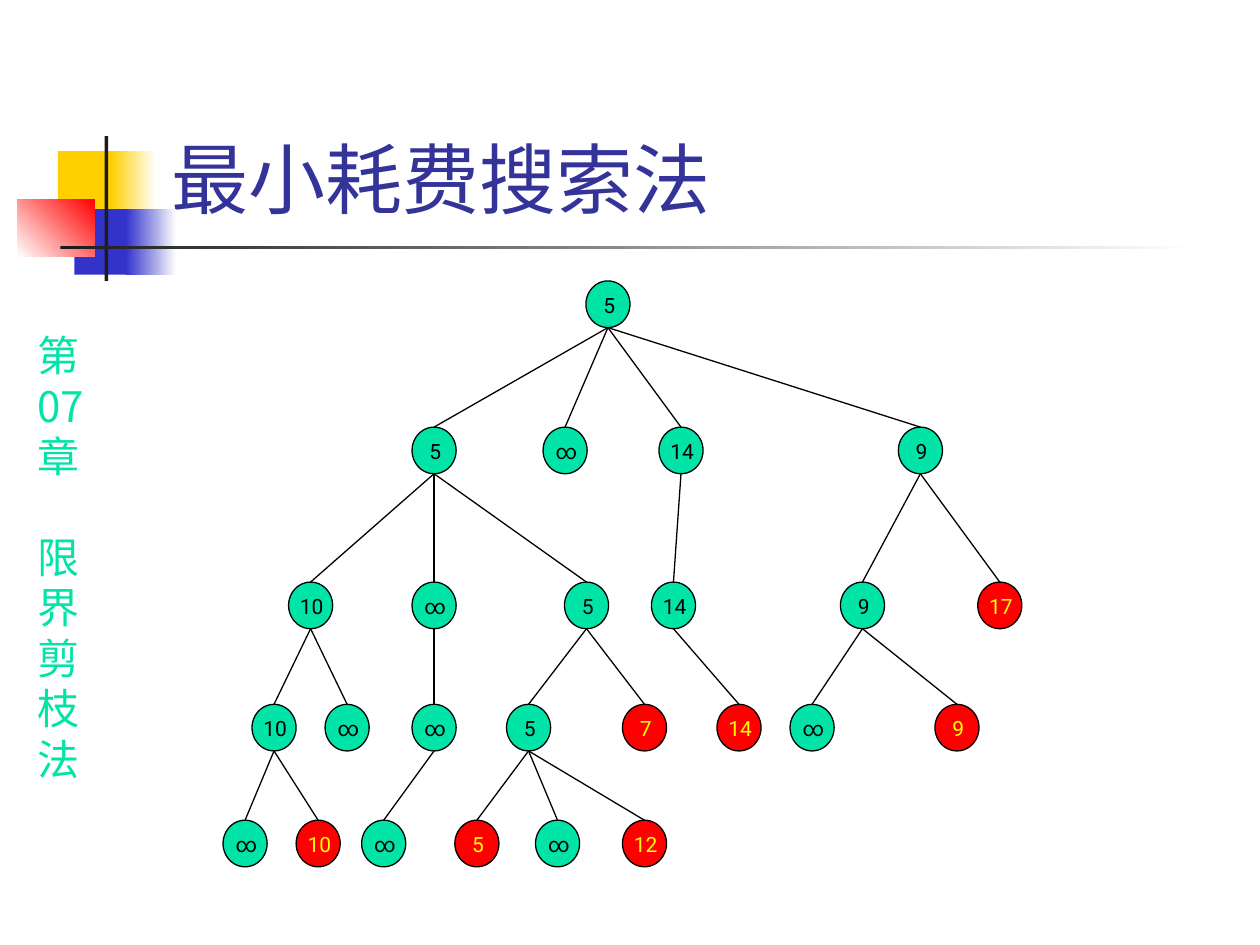
"""Build the least-cost search tree slide."""
from lxml import etree
from pptx import Presentation
from pptx.dml.color import RGBColor
from pptx.enum import shapes, text
from pptx.oxml import ns
from pptx.util import Inches, Pt

GREEN, RED, YELLOW, BLACK = "00E4A8", "FF0000", "FFFF00", "000000"
GOLD, BLUE, CHARCOAL, WHITE = "FFCF01", "3333CC", "1C1C1C", "FFFFFF"
NODE_W, NODE_H = 0.35, 0.37
LABEL_W, LABEL_H = 0.46, 0.3

# Each level: top, then (left, label, parent's place in the level above, is a solution)
LEVELS = [
    (2.23, [(4.65, "5", None, False)]),
    (3.39, [(3.27, "5", 0, False), (4.31, "∞", 0, False),
            (5.23, "14", 0, False), (7.13, "9", 0, False)]),
    (4.62, [(2.29, "10", 0, False), (3.27, "∞", 0, False), (4.48, "5", 0, False),
            (5.17, "14", 2, False), (6.67, "9", 3, False), (7.76, "17", 3, True)]),
    (5.59, [(2, "10", 0, False), (2.58, "∞", 0, False), (3.27, "∞", 1, False),
            (4.02, "5", 2, False), (4.94, "7", 2, True), (5.69, "14", 3, True),
            (6.27, "∞", 4, False), (7.42, "9", 4, True)]),
    (6.51, [(1.77, "∞", 0, False), (2.35, "10", 0, True), (2.87, "∞", 2, False),
            (3.61, "5", 3, True), (4.25, "∞", 3, False), (4.94, "12", 3, True)]),
]


def colour(value):
    """Return the colour for a hex string."""
    return RGBColor.from_string(value)


def style_text(paragraph, size, font_name, value, align):
    """Format a paragraph and its runs, East Asian letters included."""
    paragraph.alignment = align
    for run in paragraph.runs:
        run.font.size = Pt(size)
        run.font.name = font_name
        run.font.color.rgb = colour(value)
        east_asian = etree.SubElement(run.font._element, ns.qn("a:ea"))
        east_asian.set("typeface", font_name)


def add_band(slide, box, start, end=None, angle=0):
    """Add a borderless rectangle, plain or fading from start to end."""
    band = slide.shapes.add_shape(shapes.MSO_SHAPE.RECTANGLE, *map(Inches, box))
    band.shadow.inherit = False
    band.line.fill.background()
    if end is None:
        band.fill.solid()
        band.fill.fore_color.rgb = colour(start)
        return
    band.fill.gradient()
    band.fill.gradient_angle = angle
    for stop, value in zip(band.fill.gradient_stops, (start, end)):
        stop.color.rgb = colour(value)


def add_ornament(slide):
    """Add the coloured squares and the crossing rules beside the title."""
    add_band(slide, (0.46, 1.2, 0.48, 0.52), GOLD)
    add_band(slide, (0.88, 1.2, 0.36, 0.52), GOLD, WHITE)
    add_band(slide, (0.59, 1.66, 0.46, 0.52), BLUE)
    add_band(slide, (1, 1.66, 0.4, 0.52), BLUE, WHITE)
    add_band(slide, (0.14, 1.58, 0.61, 0.46), WHITE, RED, 45)
    add_band(slide, (0.83, 1.08, 0.03, 1.15), CHARCOAL)
    add_band(slide, (0.48, 1.95, 9, 0.03), CHARCOAL, WHITE)


def add_chapter(slide):
    """Add the chapter name, running down the left edge."""
    box = slide.shapes.add_textbox(*map(Inches, (0.2, 2.57, 0.58, 3.7)))
    frame = box.text_frame
    frame.word_wrap = False
    frame.text = "\n".join(["第", "07", *"章限界剪枝法"])
    for paragraph in frame.paragraphs:
        paragraph.line_spacing = Pt(28.8)
        if paragraph.text == "限":
            paragraph.space_before = Pt(28.8)
        style_text(paragraph, 24, "Noto Sans CJK JP", GREEN, text.PP_ALIGN.LEFT)


def set_title(slide):
    """Place and fill the title."""
    title = slide.shapes.title
    title.left, title.top, title.width, title.height = map(Inches, (1.26, 0.23, 8.52, 1.6))
    frame = title.text_frame
    frame.text = "最小耗费搜索法"
    frame.auto_size = text.MSO_AUTO_SIZE.NONE
    frame.vertical_anchor = text.MSO_ANCHOR.BOTTOM
    style_text(frame.paragraphs[0], 44, "Roboto", "333399", text.PP_ALIGN.LEFT)


def add_node(slide, left, top, solved):
    """Add one circle of the tree."""
    node = slide.shapes.add_shape(
        shapes.MSO_SHAPE.OVAL, *map(Inches, (left, top, NODE_W, NODE_H)))
    node.shadow.inherit = False
    node.fill.solid()
    node.fill.fore_color.rgb = colour(RED if solved else GREEN)
    node.line.color.rgb = colour(BLACK)
    node.line.width = Pt(0.75)
    return node


def add_branch(slide, parent, child):
    """Join the foot of a parent to the head of its child."""
    branch = slide.shapes.add_connector(
        shapes.MSO_CONNECTOR.STRAIGHT,
        parent.left + parent.width // 2, parent.top + parent.height,
        child.left + child.width // 2, child.top)
    branch.line.color.rgb = colour(BLACK)
    branch.line.width = Pt(0.75)
    etree.SubElement(branch._element.spPr, ns.qn("a:effectLst"))


def add_label(slide, left, top, cost, solved):
    """Write the cost over a circle."""
    box = slide.shapes.add_textbox(
        Inches(left + (NODE_W - LABEL_W) / 2 + 0.01), Inches(top + 0.04),
        Inches(LABEL_W), Inches(LABEL_H))
    frame = box.text_frame
    frame.word_wrap = True
    frame.text = cost
    style_text(frame.paragraphs[0], 12, "Roboto", YELLOW if solved else BLACK,
               text.PP_ALIGN.CENTER)


def add_tree(slide):
    """Add circles, then branches, then costs."""
    nodes = [[add_node(slide, left, top, solved) for left, _, _, solved in level]
             for top, level in LEVELS]
    for depth, (_, level) in enumerate(LEVELS[1:], 1):
        for child, (_, _, parent, _) in zip(nodes[depth], level):
            add_branch(slide, nodes[depth - 1][parent], child)
    for top, level in LEVELS:
        for left, cost, _, solved in level:
            add_label(slide, left, top, cost, solved)


def main():
    """Build and save the slide."""
    deck = Presentation()
    deck.slide_width, deck.slide_height = Inches(10), Inches(7.5)
    slide = deck.slides.add_slide(deck.slide_layouts[5])
    add_ornament(slide)
    add_chapter(slide)
    set_title(slide)
    add_tree(slide)
    deck.save("out.pptx")


if __name__ == "__main__":
    main()
